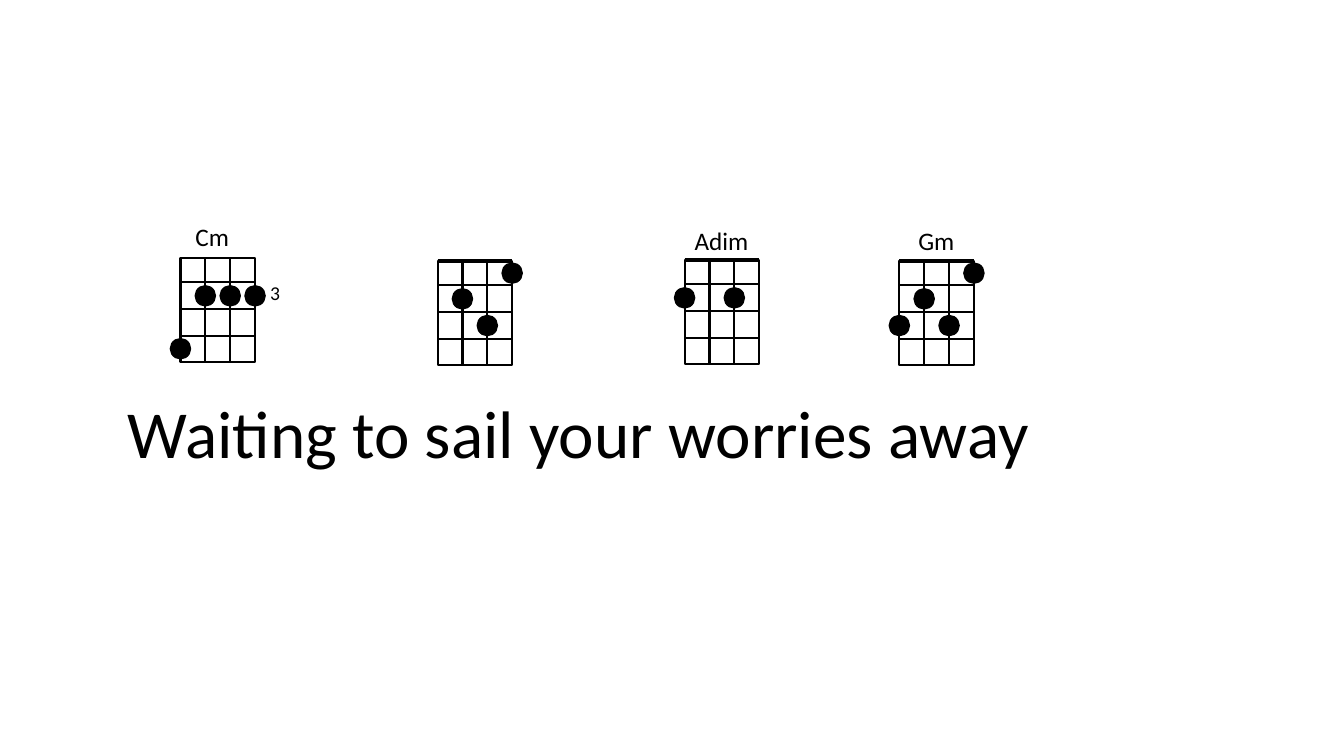
from pptx import Presentation
from pptx.dml.color import RGBColor
from pptx.enum.shapes import MSO_CONNECTOR, MSO_SHAPE
from pptx.enum.text import MSO_AUTO_SIZE
from pptx.oxml.ns import qn
from pptx.util import Inches, Pt
from lxml import etree

RECTANGLE, OVAL = MSO_SHAPE.RECTANGLE, MSO_SHAPE.OVAL
STRAIGHT = MSO_CONNECTOR.STRAIGHT
FIT_TEXT = MSO_AUTO_SIZE.SHAPE_TO_FIT_TEXT

COLORS = {"ink": "000000"}
FONT = "Calibri"
LYRIC = ("Waiting to sail your worries away", 1.17, 3.83, 11.56, 0.91, 48)
LABELS = [
    ("3", 2.58, 2.74, 0.3, 0.34, 14),
    ("Cm", 1.84, 2.15, 0.54, 0.4, 18),
    ("Gm", 9.01, 2.19, 0.56, 0.4, 18),
    ("Adim", 6.79, 2.19, 0.74, 0.4, 18),
]
CHORDS = [
    {"left": 1.79, "top": 2.56, "nut": False,
     "fingers": [(0, 4), (1, 2), (2, 2), (3, 2)]},
    {"left": 4.34, "top": 2.59, "nut": True,
     "fingers": [(1, 2), (2, 3), (3, 1)]},
    {"left": 6.79, "top": 2.58, "nut": True,
     "fingers": [(2, 2), (0, 2)]},
    {"left": 8.92, "top": 2.59, "nut": True,
     "fingers": [(1, 2), (0, 3), (2, 3), (3, 1)]},
]
BOARD_WIDTH, BOARD_HEIGHT = 0.74, 1.03
STRING_GAP = BOARD_WIDTH / 3
FRETS = [0, 0.24, 0.51, 0.77, BOARD_HEIGHT]
DOT = 0.2

INK = RGBColor.from_string(COLORS["ink"])


def add_words(words, left, top, width, height, size, wrap=False):
    box = slide.shapes.add_textbox(*map(Inches, (left, top, width, height)))
    frame = box.text_frame
    frame.word_wrap = wrap
    frame.auto_size = FIT_TEXT
    paragraph = frame.paragraphs[0]
    paragraph.text = words
    paragraph.font.name = FONT
    paragraph.font.size = Pt(size)
    paragraph.font.color.rgb = INK


def add_outline(group, kind, left, top, width, height, weight):
    shape = group.shapes.add_shape(kind, *map(Inches, (left, top, width, height)))
    shape.shadow.inherit = False
    shape.line.color.rgb = INK
    shape.line.width = Pt(weight)
    return shape


def add_wire(group, x1, y1, x2, y2, weight=1.5):
    wire = group.shapes.add_connector(STRAIGHT, *map(Inches, (x1, y1, x2, y2)))
    wire.line.color.rgb = INK
    wire.line.width = Pt(weight)
    etree.SubElement(wire._element.spPr, qn("a:effectLst"))


def add_chord(left, top, nut, fingers):
    group = slide.shapes.add_group_shape()
    right, bottom = left + BOARD_WIDTH, top + BOARD_HEIGHT
    board = add_outline(group, RECTANGLE, left, top, BOARD_WIDTH, BOARD_HEIGHT, 1.5)
    board.fill.background()
    for string in (1, 2):
        x = left + string * STRING_GAP
        add_wire(group, x, top, x, bottom)
    for fret in FRETS[1:-1]:
        add_wire(group, left, top + fret, right, top + fret)
    if nut:
        add_wire(group, left, top, right, top, 3)
    for string, fret in fingers:
        x = left + string * STRING_GAP
        y = top + (FRETS[fret - 1] + FRETS[fret]) / 2
        dot = add_outline(group, OVAL, x - DOT / 2, y - DOT / 2, DOT, DOT, 1)
        dot.fill.solid()
        dot.fill.fore_color.rgb = INK


prs = Presentation()
prs.slide_width, prs.slide_height = Inches(13.33), Inches(7.5)
slide = prs.slides.add_slide(prs.slide_layouts[6])

add_words(*LYRIC, wrap=True)
for label in LABELS:
    add_words(*label)
for chord in CHORDS:
    add_chord(**chord)

prs.save("out.pptx")
